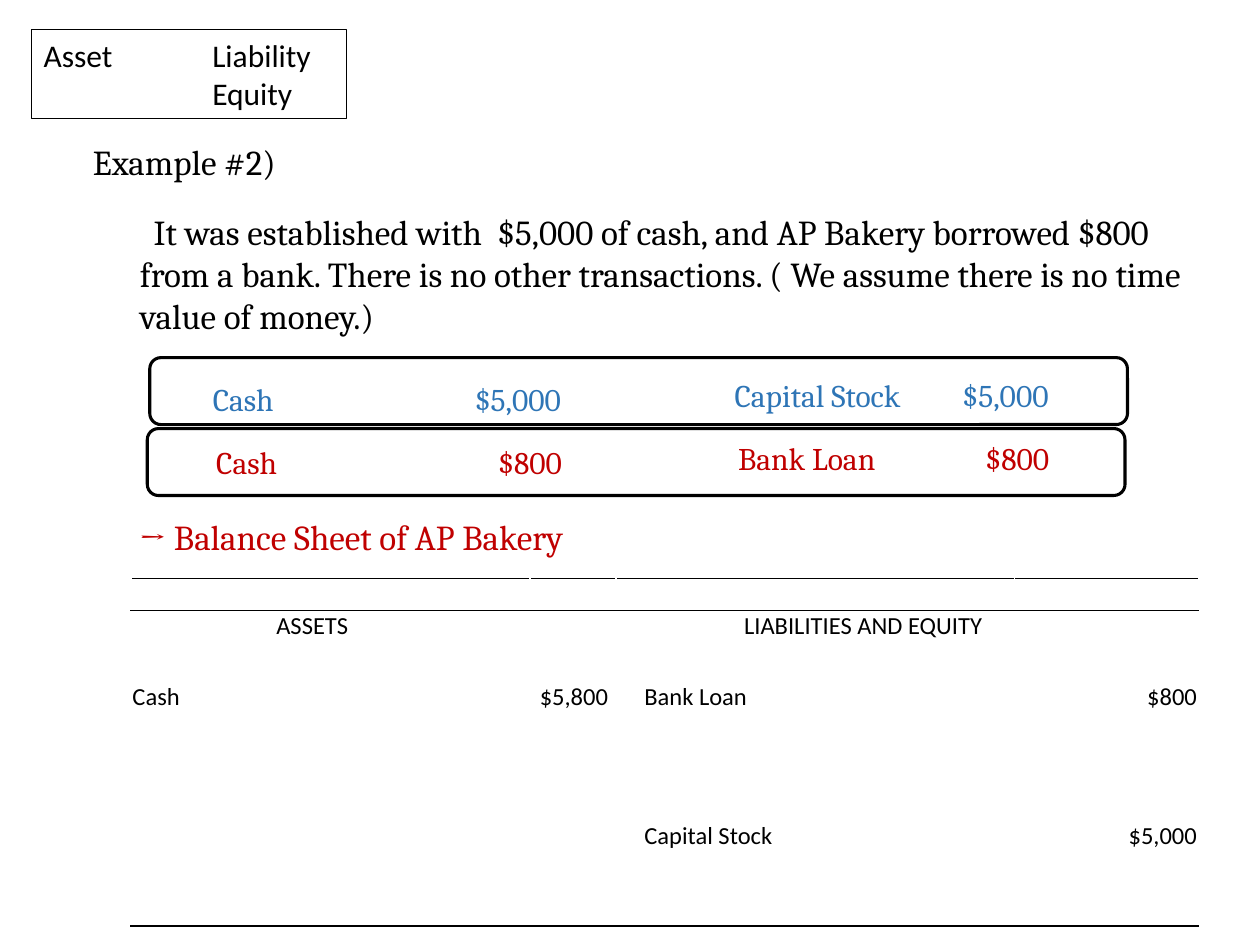
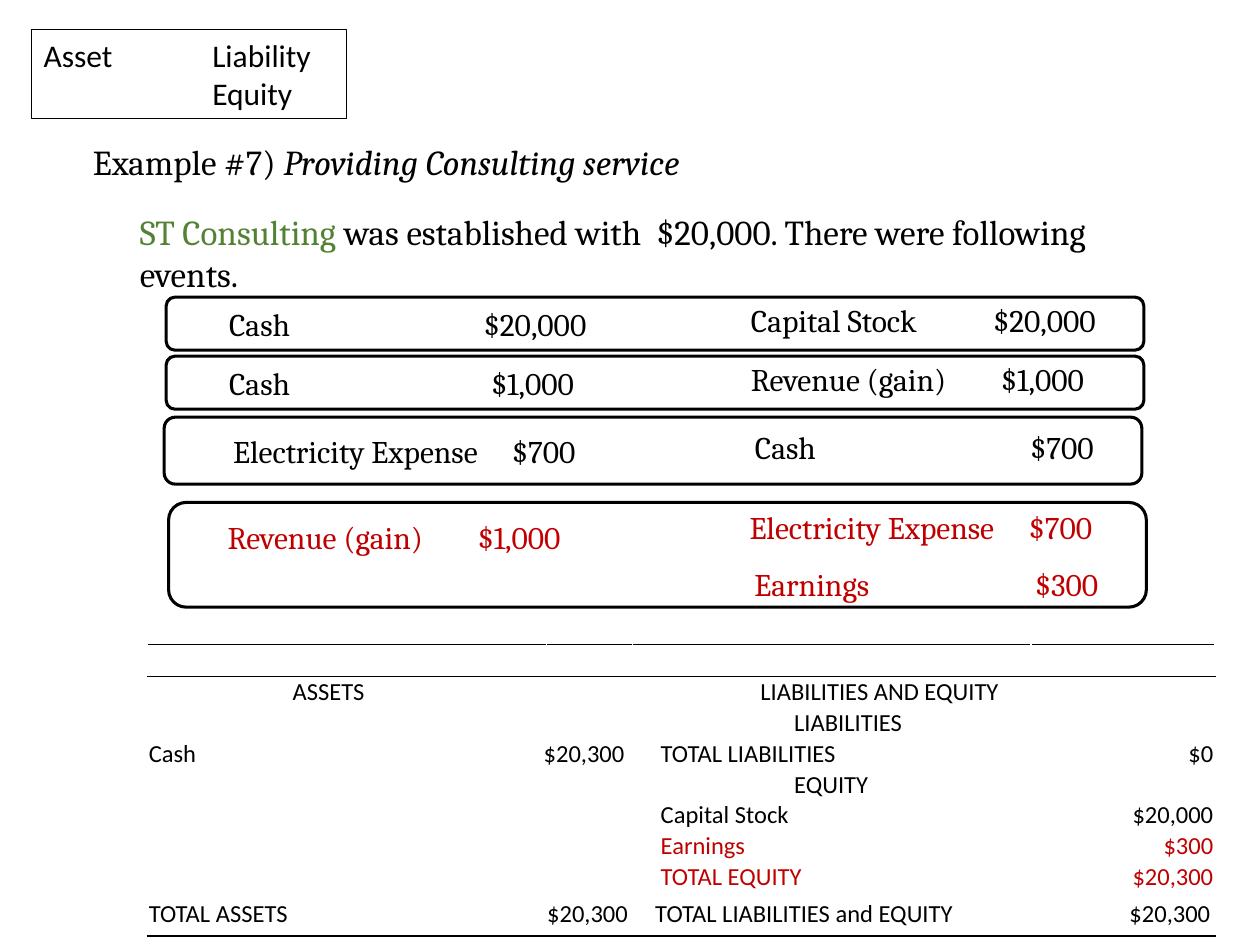
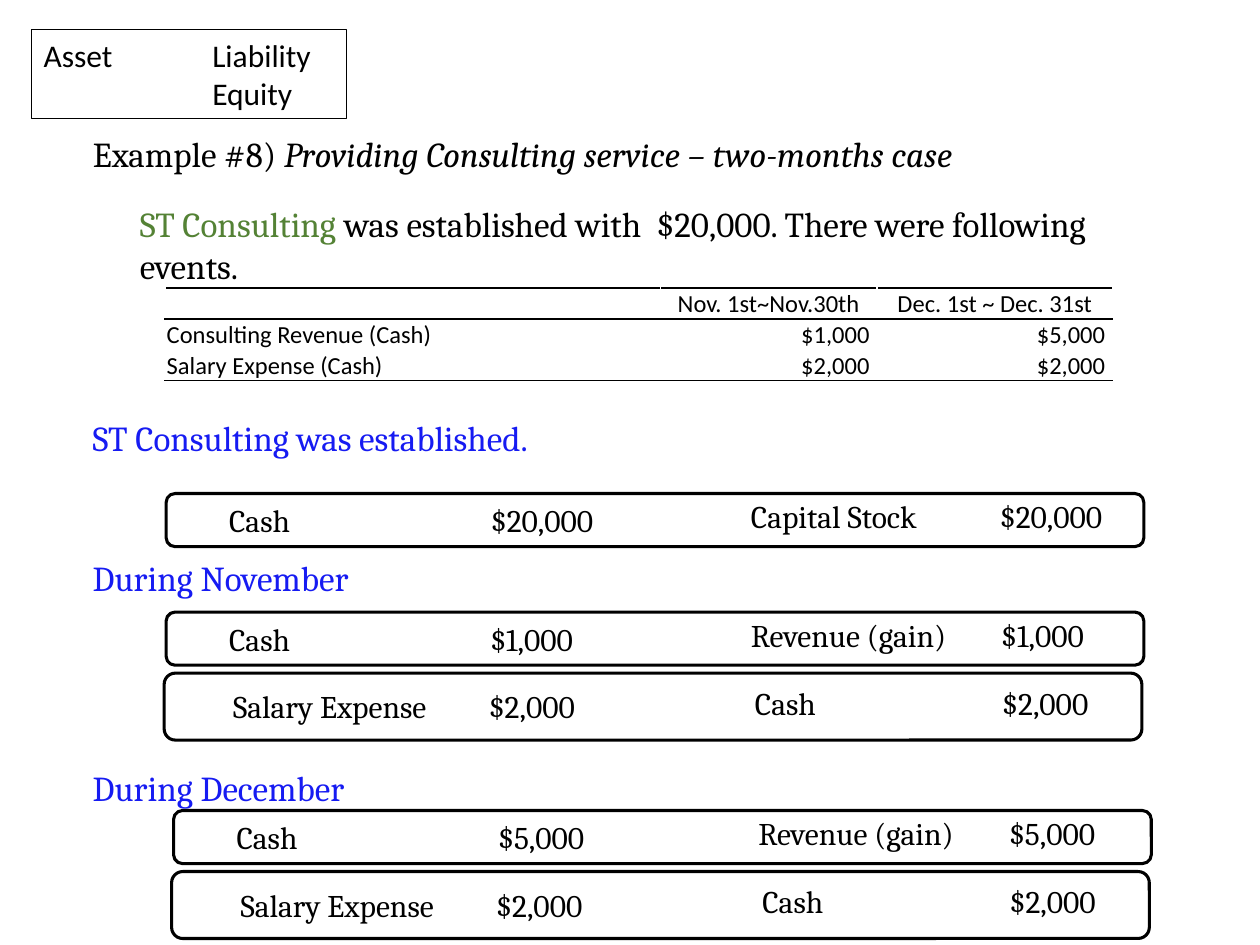
from dataclasses import dataclass

from lxml import etree
from pptx import Presentation
from pptx.dml.color import RGBColor
from pptx.enum.shapes import MSO_SHAPE
from pptx.enum.text import MSO_ANCHOR, MSO_AUTO_SIZE, PP_ALIGN
from pptx.oxml.ns import qn
from pptx.util import Cm, Pt

RECTANGLE, ROUNDED = MSO_SHAPE.RECTANGLE, MSO_SHAPE.ROUNDED_RECTANGLE
LEFT, CENTER, RIGHT = PP_ALIGN.LEFT, PP_ALIGN.CENTER, PP_ALIGN.RIGHT
TOP, MIDDLE = MSO_ANCHOR.TOP, MSO_ANCHOR.MIDDLE
NO_AUTOSIZE = MSO_AUTO_SIZE.NONE
TITLE_ONLY = 5


@dataclass(frozen=True)
class Theme:
    black: str = "000000"
    white: str = "FFFFFF"
    red: str = "C00000"
    blue: str = "2E75B6"
    heading: str = "161BF2"
    green: str = "548235"
    serif: str = "Cambria"
    sans: str = "Calibri"
    body: int = 20
    entry: int = 18
    table: int = 14


THEME = Theme()

# Lengths in centimetres
ENTRY_WIDTH, SHORT, TALL, CLOSING = 19.71, 1.07, 1.35, 2.11
ACCOUNT_WIDTH, ACCOUNT_HEIGHT = 8.13, 1.02
CREDIT_SHIFT = 10.52
STORY_DROP = 1.41
CELL_INSET = 0.03
SHEET_COLUMNS = (5.79, 2.26, 1.73, 8.03, 3.71)


# ---- Shared helpers ----
def place(box):
    return [Cm(length) for length in box]


def add_tab(para, position, align):
    stops = etree.SubElement(para._p.get_or_add_pPr(), qn("a:tabLst"))
    etree.SubElement(stops, qn("a:tab"), pos=str(Cm(position)), algn=align)


def write(frame, text, *, size=THEME.body, font=THEME.serif, color=THEME.black,
          align=LEFT, tab=None, tab_align="r", line=None, first=0):
    """Write one paragraph; text is a string or a list of (text, color, italic)."""
    para = frame.paragraphs[0]
    if para.runs:
        para = frame.add_paragraph()
    para.alignment = align
    if line:
        para.line_spacing = Pt(line)
    if first:
        para._p.get_or_add_pPr().set("indent", str(Cm(first)))
    if tab:
        add_tab(para, tab, tab_align)
    pieces = [(text, color, False)] if isinstance(text, str) else text
    for words, shade, italic in pieces:
        span = para.add_run()
        span.text = words
        span.font.size = Pt(size)
        span.font.name = font
        span.font.italic = italic
        span.font.color.rgb = RGBColor.from_string(shade)


def add_text(page, box, text, **style):
    frame = page.shapes.add_textbox(*place(box)).text_frame
    frame.word_wrap = True
    write(frame, text, **style)


def add_outline(page, box, kind, weight):
    shape = page.shapes.add_shape(kind, *place(box))
    shape.shadow.inherit = False
    shape.fill.background()
    shape.line.color.rgb = RGBColor.from_string(THEME.black)
    shape.line.width = Pt(weight)
    return shape


# ---- Page frame: equation box, title and story ----
def add_equation(page, box):
    frame = add_outline(page, box, RECTANGLE, 0.75).text_frame
    for text in ("Asset\tLiability", "\tEquity"):
        write(frame, text, size=THEME.entry, font=THEME.sans, tab=3.4, tab_align="l")


def add_page(deck, title, story, top=2.7, story_width=21.57, first=0):
    page = deck.slides.add_slide(deck.slide_layouts[TITLE_ONLY])
    add_equation(page, (0.63, 0.59, 6.35, 1.8))
    holder = page.shapes.title
    holder.left, holder.top, holder.width, holder.height = place((1.62, top, 22.53, 1.2))
    frame = holder.text_frame
    frame.word_wrap = True
    frame.auto_size = NO_AUTOSIZE
    frame.vertical_anchor = TOP
    write(frame, title)
    add_text(page, (2.57, top + STORY_DROP, story_width, 2.8), story, first=first)
    return page


def add_consulting_page(deck, number, subject, top):
    title = [(f"Example #{number}) ", THEME.black, False), (subject, THEME.black, True)]
    story = [("ST Consulting ", THEME.green, False),
             ("was established with  $20,000. There were following events.", THEME.black, False)]
    return add_page(deck, title, story, top=top, story_width=21, first=-0.03)


# ---- Journal entries ----
def add_account(page, left, top, account, color, line=None):
    """Account is (name, amount, right edge of the amount)."""
    name, value, edge = account
    add_text(page, (left, top, ACCOUNT_WIDTH, ACCOUNT_HEIGHT), f"{name}\t{value}",
             size=THEME.entry, color=color, tab=edge, line=line)


def add_entry(page, box, debit, credit, color=THEME.black, inset=None, drop=None):
    left, top, height = box
    add_outline(page, (left, top, ENTRY_WIDTH, height), ROUNDED, 1.75)
    if inset is None:
        inset = 1.14 if height == TALL else 1.02
    if drop is None:
        drop = (height - ACCOUNT_HEIGHT) / 2
    add_account(page, left + inset, top + drop, debit, color)
    add_account(page, left + inset + CREDIT_SHIFT, top + drop - 0.02, credit, color, line=20)


def add_closing_entry(page, left, top):
    add_outline(page, (left, top, ENTRY_WIDTH, CLOSING), ROUNDED, 1.75)
    for shift, drop, line, account in (
            (0.94, 0.24, 20, ("Revenue (gain)", "$1,000", 6.71)),
            (11.46, -0.02, None, ("Electricity Expense", "$700", 6.91)),
            (11.56, 1.19, 20, ("Earnings", "$300", 6.93))):
        add_account(page, left + shift, top + drop, account, THEME.red, line)


# ---- Tables ----
def set_borders(cell, top, bottom):
    properties = cell._tc.get_or_add_tcPr()
    edges = (("a:lnL", THEME.white), ("a:lnR", THEME.white), ("a:lnT", top), ("a:lnB", bottom))
    for position, (tag, color) in enumerate(edges):
        edge = etree.Element(qn(tag), w=str(Pt(1)))
        fill = etree.SubElement(edge, qn("a:solidFill"))
        etree.SubElement(fill, qn("a:srgbClr"), val=color)
        properties.insert(position, edge)


def fill_cell(cell, text="", indent=0, back=0, **style):
    cell.vertical_anchor = MIDDLE
    cell.margin_left, cell.margin_right = Cm(CELL_INSET + indent), Cm(CELL_INSET + back)
    cell.margin_top, cell.margin_bottom = Cm(0.02), 0
    cell.fill.background()
    if text:
        write(cell.text_frame, text, size=THEME.table, font=THEME.sans, **style)
    else:
        para = cell.text_frame.paragraphs[0]
        etree.SubElement(para._p, qn("a:endParaRPr"), sz=str(THEME.table * 100))


def add_ruled_table(page, left, top, columns, rows):
    """Each row is (height, merged column ranges, {column: cell format})."""
    total = sum(row[0] for row in rows)
    box = (left, top, sum(columns), total)
    table = page.shapes.add_table(len(rows), len(columns), *place(box)).table
    table.first_row = table.horz_banding = False
    for column, width in zip(table.columns, columns):
        column.width = Cm(width)
    last = len(rows) - 1
    for number, (height, merges, contents) in enumerate(rows):
        table.rows[number].height = Cm(height)
        for start, end in merges:
            table.cell(number, start).merge(table.cell(number, end))
        above = THEME.black if number in (0, 1) else THEME.white
        below = THEME.black if number in (0, last) else THEME.white
        for position in range(len(columns)):
            cell = table.cell(number, position)
            fill_cell(cell, **contents.get(position, {}))
            set_borders(cell, above, below)


def label(text, indent=0, **style):
    return dict(text=text, indent=indent, **style)


def amount(text, back=0, **style):
    return dict(text=text, back=back, align=RIGHT, **style)


def liability(name, value, **style):
    return {3: label(name, 0.54, **style), 4: amount(value, **style)}


def cash(value):
    return {0: label("Cash"), 1: amount(value, 0.13)}


HEAD, MIDDLE_PAIR, LAST_PAIR = (0, 1), (1, 2), (3, 4)
HALVES = [(0, 2), LAST_PAIR]
SHEET_HEAD = [
    (0.65, [HEAD], {}),
    (0.62, HALVES, {0: label("ASSETS", first=2.9),
                    3: label("LIABILITIES AND EQUITY", first=2.55)}),
]


# ---- Pages ----
def build_bakery_page(deck):
    page = add_page(
        deck, "Example #2)",
        "It was established with  $5,000 of cash, and AP Bakery borrowed $800 from a bank. "
        "There is no other transactions. ( We assume there is no time value of money.)",
        first=0.28)
    add_entry(page, (3.02, 7.21, TALL), ("Cash", "$5,000", 7.02),
              ("Capital Stock", "$5,000", 6.33), THEME.blue, inset=1.02, drop=0.33)
    add_entry(page, (2.97, 8.64, TALL), ("Cash", "$800", 6.97),
              ("Bank Loan", "$800", 6.27), THEME.red)
    add_text(page, (2.55, 10.27, 21.57, 1.1), "→ Balance Sheet of AP Bakery", color=THEME.red)
    add_ruled_table(page, 2.64, 11.66, SHEET_COLUMNS, SHEET_HEAD + [
        (0.8, [MIDDLE_PAIR], {}),
        (0.62, [MIDDLE_PAIR], {**cash("$5,800"), **liability("Bank Loan", "$800")}),
        (0.73, [MIDDLE_PAIR], {}),
        (0.73, [MIDDLE_PAIR], {}),
        (0.73, [MIDDLE_PAIR, LAST_PAIR], {}),
        (0.62, [HEAD], liability("Capital Stock", "$5,000")),
        (0.62, [HEAD], {}),
        (0.89, HALVES, {}),
    ])


def build_service_page(deck):
    page = add_consulting_page(deck, 7, "Providing Consulting service", 2.7)
    for box, debit, credit in (
            ((3.35, 5.99, SHORT), ("Cash", "$20,000", 7.2), ("Capital Stock", "$20,000", 6.95)),
            ((3.35, 7.18, SHORT), ("Cash", "$1,000", 6.95), ("Revenue (gain)", "$1,000", 6.71)),
            ((3.31, 8.41, TALL), ("Electricity Expense", "$700", 6.9), ("Cash", "$700", 6.83))):
        add_entry(page, box, debit, credit)
    add_closing_entry(page, 3.4, 10.13)
    add_ruled_table(page, 2.97, 12.99, SHEET_COLUMNS, SHEET_HEAD + [
        (0.62, [MIDDLE_PAIR], {3: label("LIABILITIES", 3.23)}),
        (0.62, [MIDDLE_PAIR], {**cash("$20,300"), **liability("TOTAL LIABILITIES", "$0")}),
        (0.62, [MIDDLE_PAIR, LAST_PAIR], {3: label("EQUITY", first=3.23)}),
        (0.62, [MIDDLE_PAIR], liability("Capital Stock", "$20,000")),
        (0.62, [HEAD], liability("Earnings", "$300", color=THEME.red)),
        (0.62, [HEAD], liability("TOTAL EQUITY", "$20,300", color=THEME.red)),
        (0.89, HALVES, {0: label("TOTAL ASSETS\t$20,300", tab=9.66),
                        3: label("TOTAL LIABILITIES and EQUITY\t$20,300", 0.43, tab=11.19)}),
    ])


def build_two_months_page(deck):
    page = add_consulting_page(deck, 8, "Providing Consulting service – two-months case", 2.54)
    months = ("Nov. 1st~Nov.30th", "Dec. 1st ~ Dec. 31st")
    rows = [(0.62, [], {column: label(month, align=CENTER)
                        for column, month in enumerate(months, 1)})]
    for name, november, december in (("Consulting Revenue (Cash)", "$1,000", "$5,000"),
                                     ("Salary Expense (Cash)", "$2,000", "$2,000")):
        rows.append((0.62, [], {0: label(name), 1: amount(november, 0.12),
                                2: amount(december, 0.12)}))
    add_ruled_table(page, 3.33, 5.81, (9.98, 4.37, 4.75), rows)

    for top, heading in ((8.28, "ST Consulting was established."),
                         (11.1, "During November"), (15.33, "During December")):
        add_text(page, (1.62, top, 22.53, 1.1), heading, color=THEME.heading)

    add_entry(page, (3.35, 9.95, SHORT), ("Cash", "$20,000", 7.34),
              ("Capital Stock", "$20,000", 7.08))
    for left, top, revenue, debit_edge, credit_edge in (
            (3.35, 12.34, "$1,000", 6.93, 6.71), (3.5, 16.34, "$5,000", 7.01, 6.79)):
        add_entry(page, (left, top, SHORT), ("Cash", revenue, debit_edge),
                  ("Revenue (gain)", revenue, credit_edge))
        add_entry(page, (left - 0.04, top + 1.23, TALL), ("Salary Expense", "$2,000", 6.89),
                  ("Cash", "$2,000", 6.72))


def main():
    deck = Presentation()
    deck.slide_width, deck.slide_height = Cm(25.4), Cm(19.05)
    build_bakery_page(deck)
    build_service_page(deck)
    build_two_months_page(deck)
    deck.save("out.pptx")


if __name__ == "__main__":
    main()
